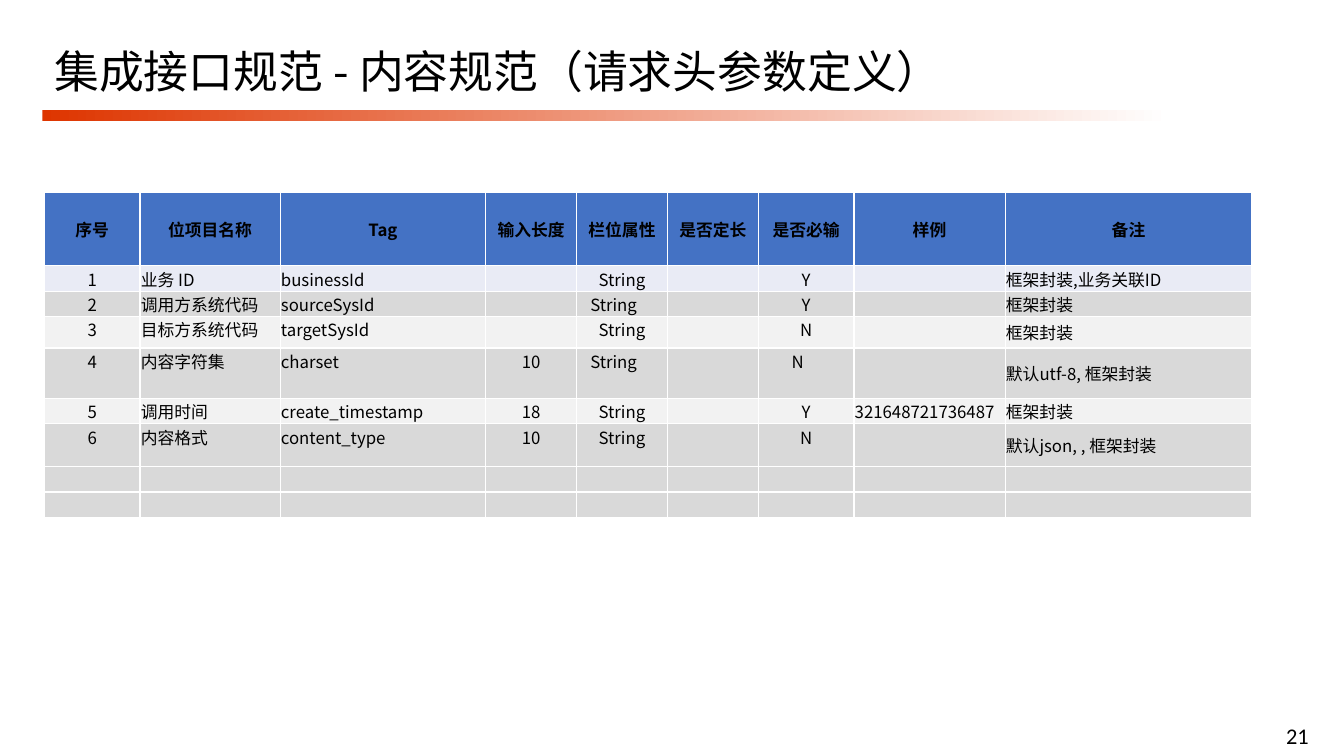
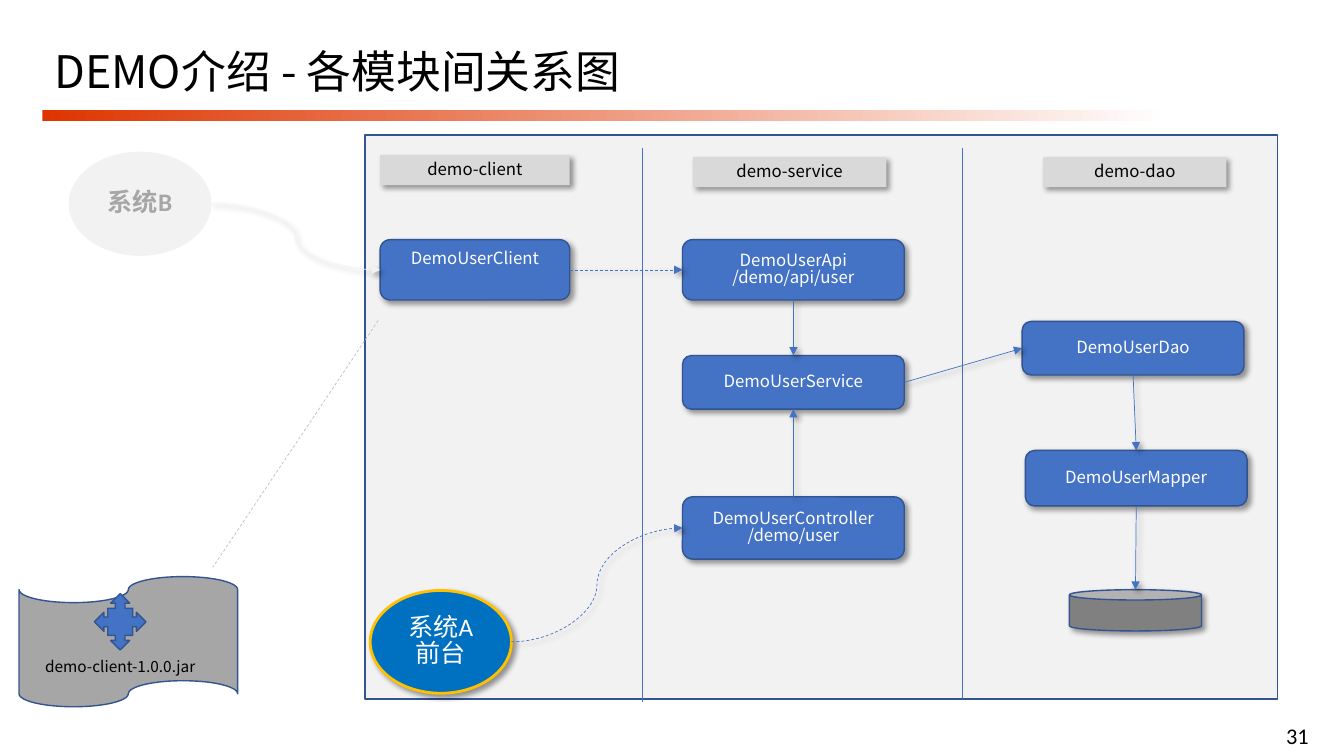
from pptx import Presentation, oxml
from pptx import util as u
from pptx.dml import color as dml
from pptx.enum import dml as strokes
from pptx.enum import shapes, text
from pptx.oxml import ns

FONT = "Noto Sans CJK SC"
LATIN = "Calibri"
BLACK, WHITE, PALE, GREY = "000000", "FFFFFF", "F2F2F2", "D9D9D9"
BLUE, OUTLINE, RED = "4472C4", "325491", "DE3500"
SILVER = "A6A6A6"
KIND = shapes.MSO_SHAPE
ALIGN = text.PP_ALIGN
ANCHOR = text.MSO_ANCHOR
SITES = {"top": 0, "left": 1, "bottom": 2, "right": 3}
INDENTS = ("margin_left", "margin_top", "margin_right", "margin_bottom")

HEADINGS = ["序号", "位项目名称", "Tag", "输入长度", "栏位属性", "是否定长", "是否必输", "样例", "备注"]
PARAMETERS = [
    ["1", "业务 ID", "businessId", "", "String", "", "Y", "", "框架封装,业务关联ID"],
    ["2", "调用方系统代码", "sourceSysId", "", "String　", "", "Y", "", "框架封装"],
    ["3", "目标方系统代码", "targetSysId", "", "String", "", "N", "", "框架封装"],
    ["4", "内容字符集", "charset", "10", "String　", "", "N　", "", "默认utf-8, 框架封装"],
    ["5", "调用时间", "create_timestamp", "18", "String", "", "Y", "321648721736487", "框架封装"],
    ["6", "内容格式", "content_type", "10", "String", "", "N", "", "默认json, , 框架封装"],
    [""] * 9,
    [""] * 9,
]
ROW_FILLS = [BLUE, "E9EBF5", GREY, PALE, GREY, PALE, GREY, GREY, GREY]
ROW_HEIGHTS = [1.85, 0.64, 0.64, 0.79, 1.27, 0.64, 1.08, 0.64, 0.64]
COLUMN_WIDTHS = [2.41, 3.53, 5.18, 2.29, 2.29, 2.29, 2.41, 3.81, 6.22]
LEFT_COLUMNS = (1, 2, 7, 8)


def colour(code):
    """Turn a hex string into a colour."""
    return dml.RGBColor.from_string(code)


def add_xml(parent, tag, **attributes):
    """Append a child element with the given attributes."""
    child = oxml.parse_xml(f"<{tag} {ns.nsdecls('a')}/>")
    for name, value in attributes.items():
        child.set(name, str(value))
    parent.append(child)
    return child


def add_shadow(effects):
    """Put a soft shadow to the lower right into an effect list."""
    shadow = add_xml(effects, "a:outerShdw", blurRad=50800, dist=38100, dir=2700000, algn="tl", rotWithShape=0)
    black = add_xml(shadow, "a:srgbClr", val=BLACK)
    add_xml(black, "a:alpha", val=40000)


def write(frame, words, size, code=BLACK, font=FONT, bold=False, align=ALIGN.CENTER, spacing=None):
    """Fill a text frame and format its paragraphs and runs."""
    frame.text = words
    for paragraph in frame.paragraphs:
        paragraph.alignment = align
        if spacing:
            paragraph.line_spacing = spacing
        for run in paragraph.runs:
            run.font.size = u.Pt(size)
            run.font.name = font
            run.font.bold = bold
            run.font.color.rgb = colour(code)
            add_xml(run.font._element, "a:ea", typeface=FONT)
        if not paragraph.runs:
            add_xml(paragraph._p, "a:endParaRPr", sz=size * 100)


def add_text(slide, box, words, size, wrap=True, **style):
    """Add a text box, centred vertically, at a box in centimetres."""
    frame = slide.shapes.add_textbox(*map(u.Cm, box)).text_frame
    frame.word_wrap = wrap
    frame.vertical_anchor = ANCHOR.MIDDLE
    write(frame, words, size, **style)


def add_block(slide, kind, box, fill, line=OUTLINE, width=1, shadow=False):
    """Add a filled preset shape at a box in centimetres."""
    shape = slide.shapes.add_shape(kind, *map(u.Cm, box))
    shape.shadow.inherit = False
    shape.fill.solid()
    shape.fill.fore_color.rgb = colour(fill)
    if line:
        shape.line.color.rgb = colour(line)
        shape.line.width = u.Pt(width)
    else:
        shape.line.fill.background()
    if shadow:
        add_shadow(shape.element.spPr.find(ns.qn("a:effectLst")))
    return shape


def label(shape, words, size=12, code=WHITE, **style):
    """Write centred words inside a shape."""
    shape.text_frame.word_wrap = True
    shape.text_frame.vertical_anchor = ANCHOR.MIDDLE
    write(shape.text_frame, words, size, code, spacing=0.85, **style)
    return shape


def add_line(slide, start, end, code=BLUE, dashed=False, arrow=False, curved=False):
    """Draw a thin line between two points, with a shadow if it is an arrow."""
    kind = shapes.MSO_CONNECTOR.CURVE if curved else shapes.MSO_CONNECTOR.STRAIGHT
    line = slide.shapes.add_connector(kind, *start, *end)
    line.line.color.rgb = colour(code)
    line.line.width = u.Pt(0.5)
    if dashed:
        line.line.dash_style = strokes.MSO_LINE.DASH
    effects = add_xml(line.element.spPr, "a:effectLst")
    if arrow:
        add_xml(line.line._get_or_add_ln(), "a:tailEnd", type="triangle")
        add_shadow(effects)
    return line


def side_point(shape, side):
    """Return the middle of one side of a shape."""
    across = {"left": 0, "right": shape.width}.get(side, shape.width // 2)
    down = {"top": 0, "bottom": shape.height}.get(side, shape.height // 2)
    return shape.left + across, shape.top + down


def connect(slide, source, source_side, target, target_side, **style):
    """Draw an arrow between the sides of two shapes."""
    line = add_line(slide, side_point(source, source_side), side_point(target, target_side), arrow=True, **style)
    if source.auto_shape_type == KIND.ROUNDED_RECTANGLE:
        line.begin_connect(source, SITES[source_side])
    if target.auto_shape_type == KIND.ROUNDED_RECTANGLE:
        line.end_connect(target, SITES[target_side])


def add_page(presentation, title, number):
    """Add a slide with the title, gradient band and page number."""
    slide = presentation.slides.add_slide(presentation.slide_layouts[6])
    band = add_block(slide, KIND.RECTANGLE, (1.07, 2.77, 28.42, 0.28), RED, None)
    band.fill.gradient()
    band.fill.gradient_angle = 0
    for stop, code in zip(band.fill.gradient_stops, (RED, WHITE)):
        stop.color.rgb = colour(code)
    add_text(slide, (1.12, 0.79, 24.08, 2.13), title, 32, align=ALIGN.LEFT, spacing=0.9)
    add_text(slide, (31.5, 18.06, 2.39, 0.94), number, 16, font=LATIN)
    return slide


def format_cell(cell, words, fill, heading, column):
    """Set the text, margins, fill and white borders of a cell."""
    for indent in INDENTS:
        setattr(cell, indent, u.Cm(0.02))
    middle = heading or column == len(HEADINGS) - 1
    cell.vertical_anchor = ANCHOR.MIDDLE if middle else ANCHOR.TOP
    align = ALIGN.LEFT if column in LEFT_COLUMNS and not heading else ALIGN.CENTER
    write(cell.text_frame, words, 12, bold=heading, align=align)
    properties = cell._tc.get_or_add_tcPr()
    for edge in ("a:lnL", "a:lnR", "a:lnT", "a:lnB"):
        border = add_xml(properties, edge, w=12700)
        add_xml(add_xml(border, "a:solidFill"), "a:srgbClr", val=WHITE)
    cell.fill.solid()
    cell.fill.fore_color.rgb = colour(fill)


def add_parameter_table(slide, left, top):
    """Add the table of request header parameters."""
    size = sum(COLUMN_WIDTHS), sum(ROW_HEIGHTS)
    table = slide.shapes.add_table(
        len(ROW_HEIGHTS), len(COLUMN_WIDTHS), *map(u.Cm, (left, top, *size))
    ).table
    table.first_row = table.horz_banding = False
    for column, width in zip(table.columns, COLUMN_WIDTHS):
        column.width = u.Cm(width)
    for index, words in enumerate([HEADINGS] + PARAMETERS):
        table.rows[index].height = u.Cm(ROW_HEIGHTS[index])
        for column, word in enumerate(words):
            format_cell(table.cell(index, column), word, ROW_FILLS[index], index == 0, column)


def add_module_panel(slide, left, top):
    """Add the three modules with their classes, and return the client class."""
    def place(x, y, width, height):
        return left + x, top + y, width, height

    def node(words, *box):
        return label(add_block(slide, KIND.ROUNDED_RECTANGLE, place(*box), BLUE, shadow=True), words)

    add_block(slide, KIND.RECTANGLE, place(0, 0, 22.99, 14.22), PALE)
    for x, bottom in ((6.98, 14.3), (15.04, 14.22)):
        ends = [(u.Cm(left + x), u.Cm(top + y)) for y in (0.33, bottom)]
        add_line(slide, *ends)
    for name, x, y, width in (
        ("demo-client", 0.38, 0.51, 4.78),
        ("demo-service", 8.26, 0.56, 4.88),
        ("demo-dao", 17.09, 0.56, 4.62),
    ):
        tag = add_block(slide, KIND.RECTANGLE, place(x, y, width, 0.76), GREY, None, shadow=True)
        label(tag, name, code=BLACK)

    client = node("DemoUserClient", 0.38, 2.64, 4.78, 1.52)
    client.text_frame.margin_bottom = u.Cm(0.64)
    api = node("DemoUserApi\n/demo/api/user", 8, 2.64, 5.59, 1.52)
    service = node("DemoUserService", 8, 5.56, 5.59, 1.35)
    controller = node("DemoUserController\n/demo/user", 8, 9.12, 5.59, 1.57)
    dao = node("DemoUserDao", 16.56, 4.7, 5.59, 1.35)
    mapper = node("DemoUserMapper", 16.64, 7.95, 5.59, 1.4)
    database = add_block(slide, KIND.CAN, place(17.75, 11.46, 3.33, 1.04), "808080", shadow=True)
    front = add_block(slide, KIND.OVAL, place(0.13, 11.48, 3.56, 2.59), "0070C0", "FFC000", 2, True)
    label(front, "系统A\n前台", 18, font=LATIN)

    connect(slide, client, "right", api, "left", dashed=True)
    connect(slide, api, "bottom", service, "top")
    connect(slide, controller, "top", service, "bottom")
    connect(slide, service, "right", dao, "left")
    connect(slide, dao, "bottom", mapper, "top")
    connect(slide, mapper, "bottom", database, "top")
    connect(slide, front, "right", controller, "left", dashed=True, curved=True)
    return client


def add_caller(slide, left, top, client):
    """Add the calling system and its arrow to the client class."""
    caller = add_block(slide, KIND.OVAL, (left, top, 3.56, 2.59), PALE, PALE)
    label(caller, "系统B", 18, SILVER, font=LATIN, bold=True)
    connect(slide, caller, "right", client, "left", code=PALE, curved=True)


def add_client_package(slide, left, top):
    """Add the packaged client library and the line that leads to it."""
    add_block(slide, KIND.FLOWCHART_PUNCHED_TAPE, (left, top, 5.51, 3.28), SILVER)
    add_block(slide, KIND.QUAD_ARROW_CALLOUT, (left + 1.9, top + 0.43, 1.3, 1.42), BLUE)
    add_text(slide, (left + 0.36, top + 1.9, 4.39, 0.74), "demo-client-1.0.0.jar", 11, wrap=False)
    start = u.Cm(left + 9.05), u.Cm(top - 6.45)
    end = u.Cm(left + 4.88), u.Cm(top - 0.23)
    add_line(slide, start, end, "BFBFBF", dashed=True)


def main():
    """Build and save the presentation."""
    presentation = Presentation()
    presentation.slide_width = u.Cm(33.87)
    presentation.slide_height = u.Cm(19.05)

    slide = add_page(presentation, "集成接口规范 - 内容规范（请求头参数定义）", "21")
    add_parameter_table(slide, 1.12, 4.85)

    slide = add_page(presentation, "DEMO介绍 - 各模块间关系图", "31")
    client = add_module_panel(slide, 9.2, 3.4)
    add_caller(slide, 1.75, 3.84, client)
    add_client_package(slide, 0.48, 14.53)

    presentation.save("out.pptx")


if __name__ == "__main__":
    main()
